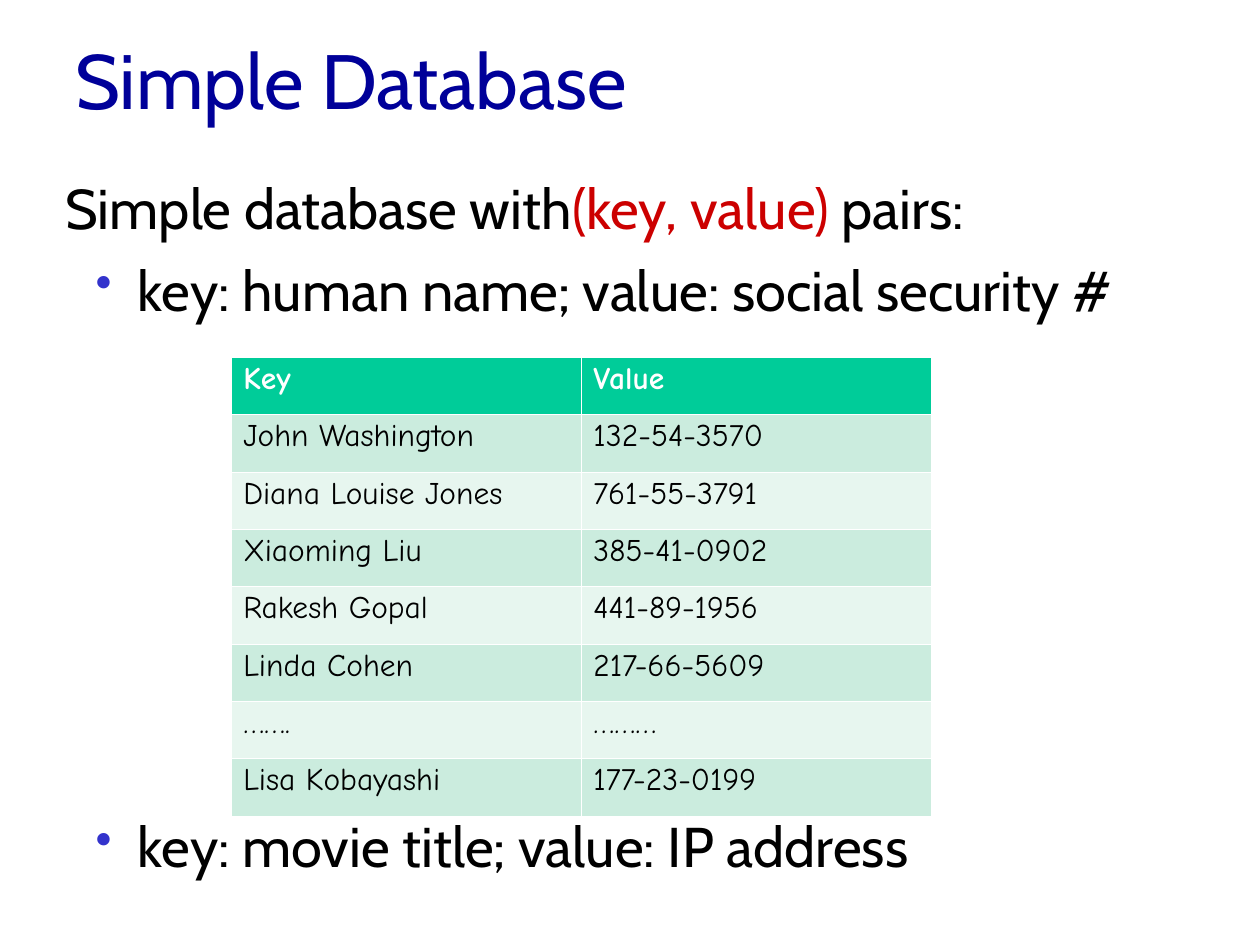
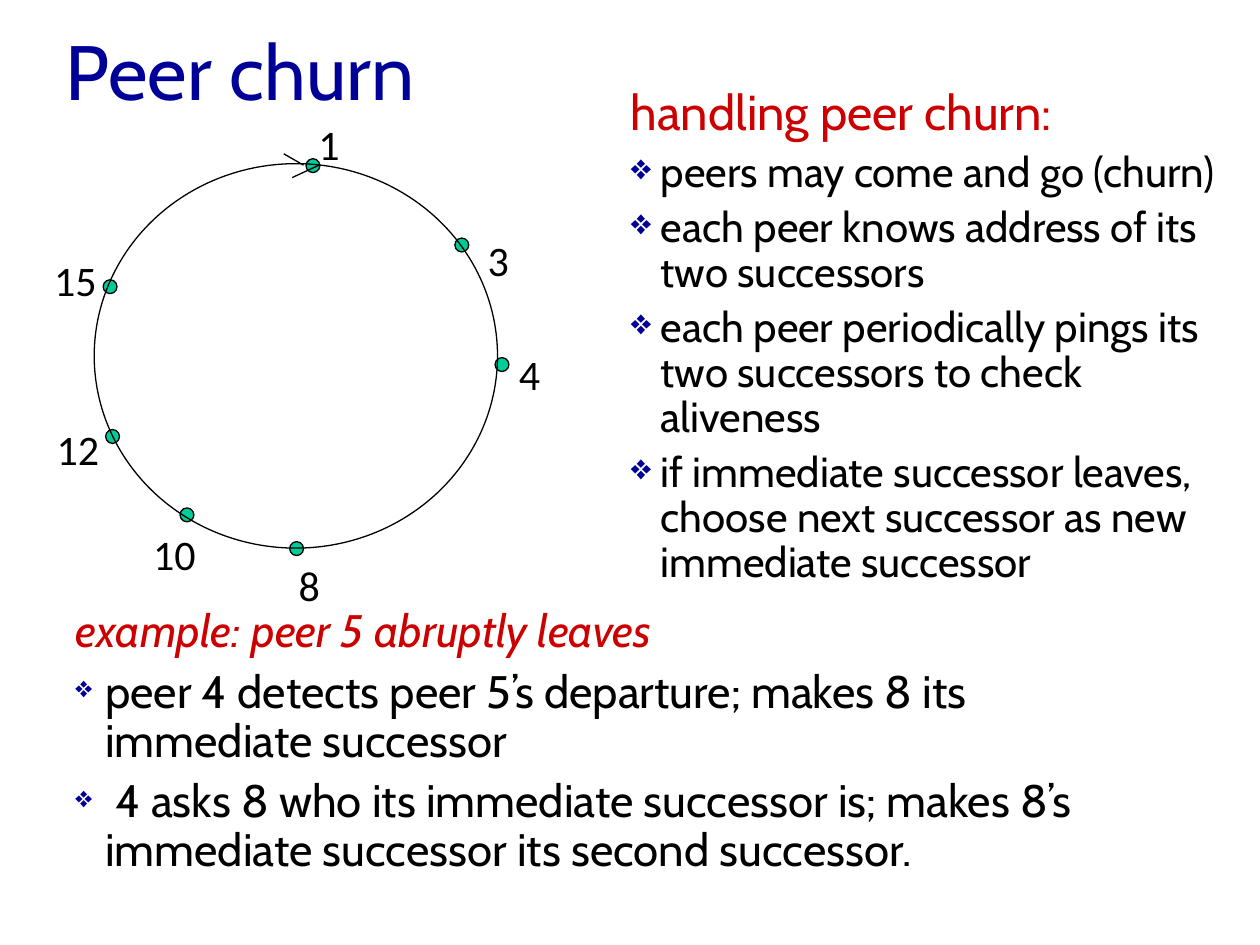
from pptx import Presentation
from pptx import util as u
from pptx.dml.color import RGBColor
from pptx.enum import shapes, text
from pptx.oxml.ns import qn
from lxml import etree

NAVY = RGBColor(0x00, 0x00, 0x99)
BLUE = RGBColor(0x33, 0x33, 0xCC)
RED = RGBColor(0xCC, 0x00, 0x00)
BLACK = RGBColor(0x00, 0x00, 0x00)
WHITE = RGBColor(0xFF, 0xFF, 0xFF)
GREEN = RGBColor(0x00, 0xCC, 0x99)
MINT = RGBColor(0xCB, 0xEC, 0xDE)
PALE_MINT = RGBColor(0xE7, 0xF6, 0xEF)

RECORDS = [
    ("Key", "Value"),
    ("John Washington", "132-54-3570"),
    ("Diana Louise Jones", "761-55-3791"),
    ("Xiaoming Liu", "385-41-0902"),
    ("Rakesh Gopal", "441-89-1956"),
    ("Linda Cohen", "217-66-5609"),
    ("…….", "………"),
    ("Lisa Kobayashi", "177-23-0199"),
]

PEERS = [
    ("1", (6.17, 3.2), (6.17, 2.26)),
    ("3", (9.17, 4.8), (9.58, 4.6)),
    ("4", (9.98, 7.21), (10.21, 6.91)),
    ("8", (5.84, 10.92), (5.77, 11.15)),
    ("10", (3.63, 10.24), (2.84, 10.52)),
    ("12", (2.13, 8.66), (0.89, 8.41)),
    ("15", (2.08, 5.64), (0.84, 5)),
]

CHURN_RULES = [
    "peers may come and go (churn)",
    "each peer knows address of its two successors",
    "each peer periodically pings its two successors to check aliveness",
    "if immediate successor leaves, choose next successor as new immediate successor",
]

DEPARTURE_STEPS = [
    "peer 4 detects peer 5’s departure; makes 8 its immediate successor",
    " 4 asks 8 who its immediate successor is; makes 8’s immediate successor its second successor.",
]


def cm(*lengths):
    return [u.Cm(length) for length in lengths]


class Deck:
    body_font = "Cabin"
    label_font = "Calibri"
    table_font = "Comic Neue"
    line_width = u.Pt(0.75)

    def __init__(self):
        self.presentation = Presentation()
        self.presentation.slide_width, self.presentation.slide_height = cm(25.4, 19.05)
        self.slide = None

    def add_slide(self):
        self.slide = self.presentation.slides.add_slide(self.presentation.slide_layouts[6])

    def add_run(self, paragraph, words, size, color=BLACK, font=None, bold=False, italic=False):
        run = paragraph.add_run()
        run.text = words
        run.font.size = u.Pt(size)
        run.font.name = font or self.body_font
        run.font.color.rgb = color
        run.font.bold = bold
        run.font.italic = italic

    def add_frame(self, left, top, width, height, wrap=True):
        frame = self.slide.shapes.add_textbox(*cm(left, top, width, height)).text_frame
        frame.word_wrap = wrap
        return frame

    def add_bullet(self, paragraph, symbol, color, percent, margin, indent):
        properties = paragraph._p.get_or_add_pPr()
        properties.set("marL", str(u.Cm(margin)))
        properties.set("indent", str(u.Cm(indent)))
        bullet_color = etree.SubElement(properties, qn("a:buClr"))
        etree.SubElement(bullet_color, qn("a:srgbClr"), val=str(color))
        etree.SubElement(properties, qn("a:buSzPct"), val=str(percent * 1000))
        etree.SubElement(properties, qn("a:buChar"), char=symbol)

    def add_title(self, words, left, height):
        frame = self.add_frame(left, 0, 22.86, height)
        frame.vertical_anchor = text.MSO_ANCHOR.MIDDLE
        self.add_run(frame.paragraphs[0], words, 44, NAVY)

    def add_dot_item(self, paragraph, words):
        self.add_bullet(paragraph, "•", BLUE, 85, 1.46, -0.85)
        self.add_run(paragraph, words, 32)

    def add_diamond_list(self, frame, items, size, percent, line_spacing, space_before):
        for words in items:
            paragraph = frame.add_paragraph()
            self.add_bullet(paragraph, "❖", NAVY, percent, 0.6, -0.6)
            paragraph.line_spacing = line_spacing
            paragraph.space_before = u.Pt(space_before)
            self.add_run(paragraph, words, size)

    def add_label(self, words, left, top):
        width = 0.51 + 0.43 * len(words)
        frame = self.add_frame(left, top, width, 1.27, wrap=False)
        self.add_run(frame.paragraphs[0], words, 24, font=self.label_font)

    def add_ellipse(self, left, top, width, height, fill=None):
        ellipse = self.slide.shapes.add_shape(
            shapes.MSO_SHAPE.OVAL, *cm(left, top, width, height))
        ellipse.shadow.inherit = False
        if fill is None:
            ellipse.fill.background()
        else:
            ellipse.fill.solid()
            ellipse.fill.fore_color.rgb = fill
        ellipse.line.color.rgb = BLACK
        ellipse.line.width = self.line_width

    def add_line(self, start, end):
        line = self.slide.shapes.add_connector(
            shapes.MSO_CONNECTOR.STRAIGHT, *cm(*start, *end))
        line.line.color.rgb = BLACK
        line.line.width = self.line_width
        etree.SubElement(line._element.spPr, qn("a:effectLst"))

    def add_borders(self, cell):
        properties = cell._tc.get_or_add_tcPr()
        for side in ("lnL", "lnR", "lnT", "lnB"):
            border = etree.SubElement(properties, qn(f"a:{side}"), w=str(u.Pt(0.06)))
            fill = etree.SubElement(border, qn("a:solidFill"))
            etree.SubElement(fill, qn("a:srgbClr"), val=str(WHITE))

    def add_table(self, records, left, top, width, height):
        table = self.slide.shapes.add_table(
            len(records), len(records[0]), *cm(left, top, width, height)).table
        for row, record in enumerate(records):
            header = row == 0
            fill = GREEN if header else MINT if row % 2 else PALE_MINT
            for column, words in enumerate(record):
                cell = table.cell(row, column)
                self.add_borders(cell)
                cell.fill.solid()
                cell.fill.fore_color.rgb = fill
                paragraph = cell.text_frame.paragraphs[0]
                paragraph.line_spacing = 0.89
                self.add_run(paragraph, words, 18, WHITE if header else BLACK,
                             self.table_font, bold=header)


def build_database_slide(deck):
    deck.add_slide()
    deck.add_table(RECORDS, 4.65, 7.2, 14.12, 9.25)
    frame = deck.add_frame(1.07, 3.38, 24.33, 6.25)
    intro = frame.paragraphs[0]
    deck.add_run(intro, "Simple database with", 32)
    deck.add_run(intro, "(key, value) ", 32, RED)
    deck.add_run(intro, "pairs:", 32)
    example = frame.add_paragraph()
    deck.add_dot_item(example, "key: human name; value: social security #")
    example.space_before = u.Pt(8)
    deck.add_title("Simple Database", 1.27, 3.18)
    movie_frame = deck.add_frame(1.07, 16.24, 24.33, 1.9)
    deck.add_dot_item(movie_frame.paragraphs[0], "key: movie title; value: IP address")


def build_churn_slide(deck):
    deck.add_slide()
    deck.add_title("Peer churn", 1.07, 2.82)
    departure = deck.add_frame(1.27, 12.14, 22.86, 5.92)
    heading = departure.paragraphs[0]
    heading.line_spacing = 0.9
    deck.add_run(heading, "example: peer 5 abruptly leaves", 26, RED, italic=True)
    deck.add_diamond_list(departure, DEPARTURE_STEPS, 26, 65, 0.9, 6.5)

    for _, dot, _ in PEERS:
        deck.add_ellipse(*dot, 0.28, 0.28, GREEN)
    deck.add_ellipse(1.9, 3.3, 8.13, 7.75)
    for name, _, label in PEERS:
        deck.add_label(name, *label)
    deck.add_line((5.72, 3.1), (6.12, 3.33))
    deck.add_line((6.43, 3.33), (5.89, 3.58))

    handling = deck.add_frame(12.47, 1.52, 12.4, 14.38)
    deck.add_run(handling.paragraphs[0], "handling peer churn:", 28, RED)
    deck.add_diamond_list(handling, CHURN_RULES, 24, 85, u.Pt(25.6), 6)


def main():
    deck = Deck()
    build_database_slide(deck)
    build_churn_slide(deck)
    deck.presentation.save("out.pptx")


if __name__ == "__main__":
    main()
